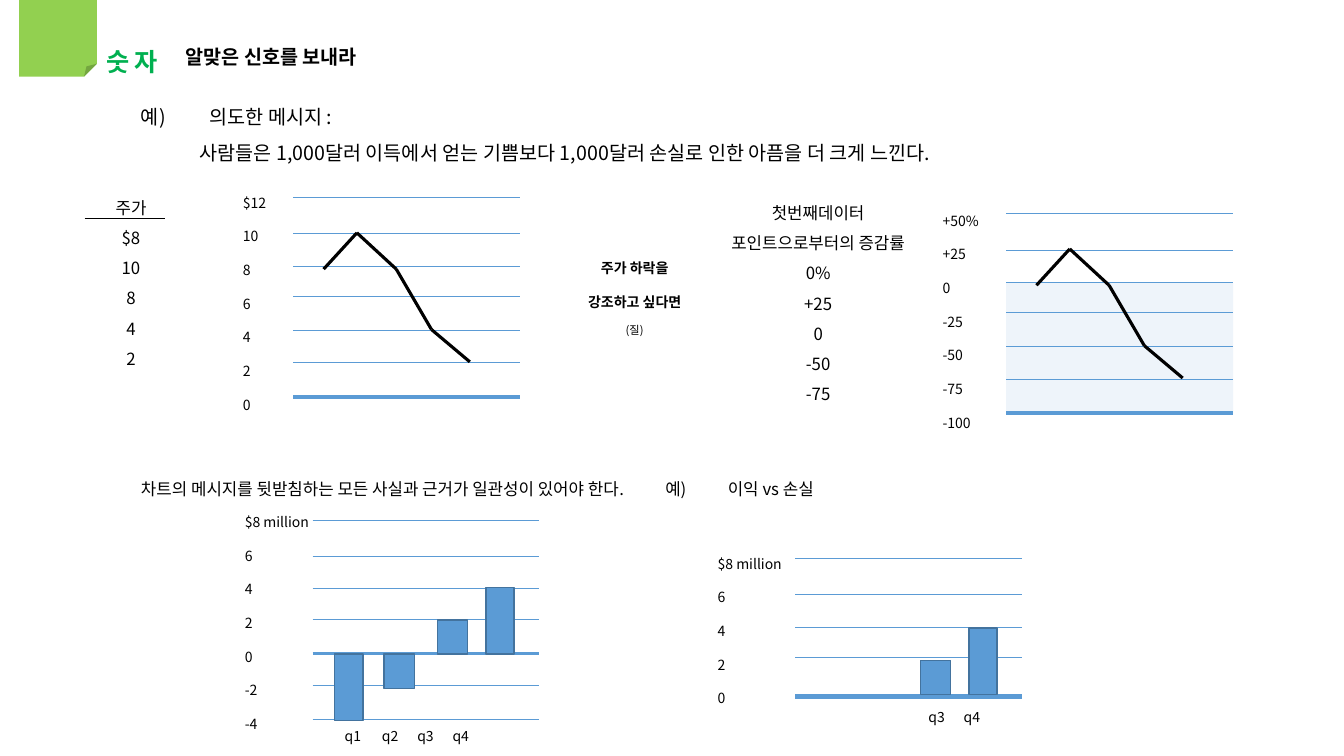
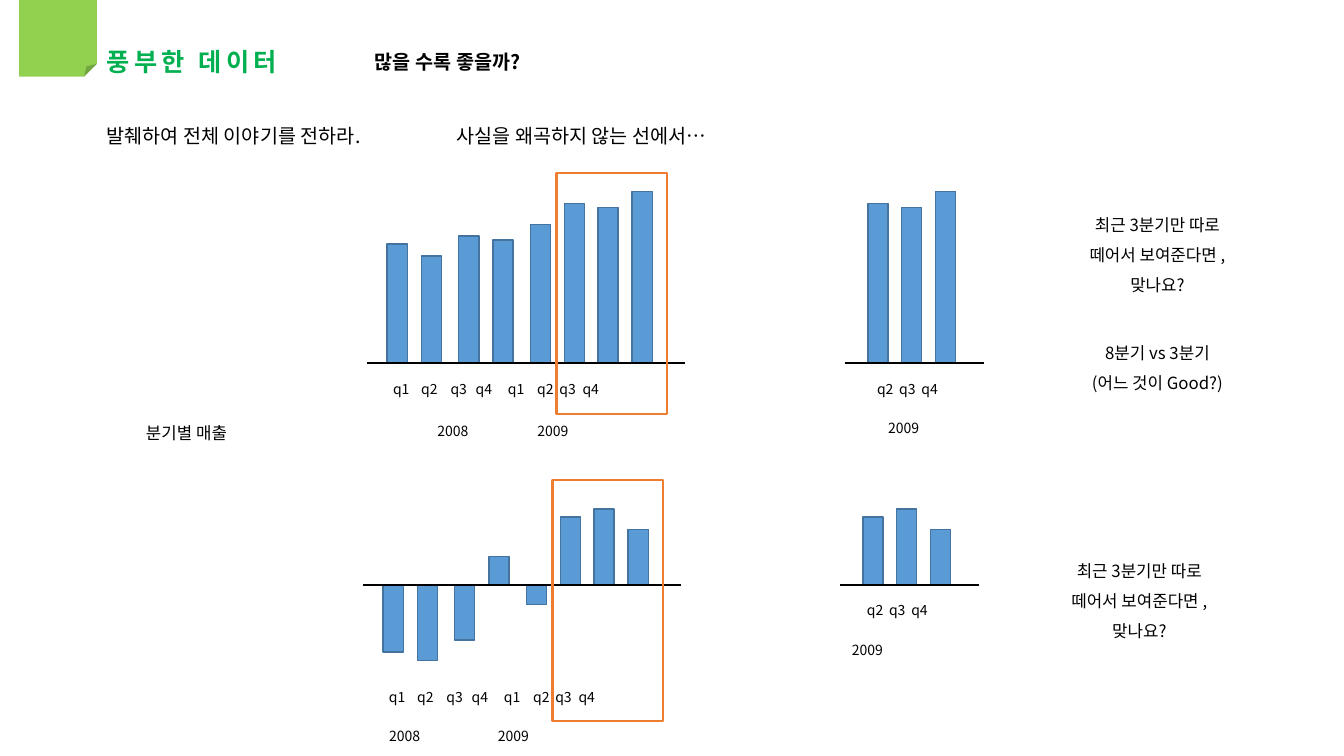
from itertools import pairwise

from lxml import etree
from pptx import Presentation
from pptx.dml.color import RGBColor
from pptx.enum.shapes import MSO_CONNECTOR, MSO_SHAPE as SHAPE
from pptx.enum.text import PP_ALIGN as ALIGN
from pptx.oxml.ns import qn
from pptx.util import Inches, Pt

FONT = "Noto Sans CJK KR"
COLORS = {
    "text": "000000",
    "title": "00B050",
    "fold": "92D050",
    "blue": "5B9BD5",
    "bar_edge": "43739E",
    "shade": "DEEBF7",
    "frame": "ED7D31",
}
GRID = [0, 0.36, 0.68, 0.98, 1.32, 1.64, 1.98]
TREND = [(0.3, 0.71), (0.63, 0.35), (1.02, 0.71), (1.37, 1.31), (1.75, 1.63)]
GRID_W = 2.25
SHADE_TOP, SHADE_H = 0.69, 1.29
BAR_W = 0.2


def add_text(s, x, y, w, h, lines, size, spacing=1.0, align=ALIGN.LEFT,
             bold=False, color="text", tabs=(), tracking=0):
    """Add a text box; tabs are stops in inches, tracking is in points."""
    sp = s.shapes.add_textbox(Inches(x), Inches(y), Inches(w), Inches(h))
    tf = sp.text_frame
    tf.word_wrap = True
    tf.text = "\n".join(lines)
    for p in tf.paragraphs:
        p.alignment = align
        p.line_spacing = spacing
        if tabs:
            stops = etree.SubElement(p._p.get_or_add_pPr(), qn("a:tabLst"))
            for stop in tabs:
                etree.SubElement(stops, qn("a:tab"), pos=str(Inches(stop)), algn="l")
        for r in p.runs:
            r.font.name = FONT
            r.font.size = Pt(size)
            r.font.bold = bold
            r.font.color.rgb = RGBColor.from_string(COLORS[color])
            rPr = r._r.get_or_add_rPr()
            etree.SubElement(rPr, qn("a:ea"), typeface=FONT)
            if tracking:
                rPr.set("spc", str(tracking * 100))
    return sp


def draw(s, kind, x, y, w, h, fill=None, line=None, weight=1):
    """Draw a preset shape, or a straight line across the box if kind is None."""
    if kind is None:
        sp = s.shapes.add_connector(MSO_CONNECTOR.STRAIGHT, Inches(x), Inches(y),
                                    Inches(x + w), Inches(y + h))
        etree.SubElement(sp._element.spPr, qn("a:effectLst"))
    else:
        sp = s.shapes.add_shape(kind, Inches(x), Inches(y), Inches(w), Inches(h))
        sp.shadow.inherit = False
        if fill:
            sp.fill.solid()
            sp.fill.fore_color.rgb = RGBColor.from_string(COLORS[fill])
        else:
            sp.fill.background()
    if line:
        sp.line.color.rgb = RGBColor.from_string(COLORS[line])
        sp.line.width = Pt(weight)
    else:
        sp.line.fill.background()
    return sp


prs = Presentation()
prs.slide_width, prs.slide_height = Inches(13.33), Inches(7.5)

# Shared header
slides = []
for title, title_w in [("숫자", 0.9), ("풍부한 데이터", 2.1)]:
    s = prs.slides.add_slide(prs.slide_layouts[6])
    draw(s, SHAPE.FOLDED_CORNER, 0.19, 0, 0.77, 0.76, fill="fold")
    add_text(s, 0.96, 0.26, title_w, 0.5, [title], 18, 1.5,
             bold=True, color="title", tracking=3)
    slides.append(s)
numbers, rich_data = slides

# Slide 1: headings and data columns
s = numbers
add_text(s, 1.74, 0.4, 2.11, 0.34, ["알맞은 신호를 보내라"], 14, bold=True)
add_text(s, 1.3, 0.87, 4, 0.45, ["예)\t의도한 메시지 :"], 14, 1.5, tabs=[0.68])
add_text(s, 1.88, 1.23, 8.3, 0.45,
         ["사람들은 1,000달러 이득에서 얻는 기쁨보다 1,000달러 손실로 인한 아픔을 더 크게 느낀다."],
         14, 1.5)
add_text(s, 1.03, 1.81, 0.54, 1.92, ["주가", "$8", "10", "8", "4", "2"],
         12, 1.5, ALIGN.CENTER)
draw(s, None, 0.84, 2.17, 0.8, 0, line="text")
add_text(s, 7.06, 1.86, 2.11, 2.22,
         ["첫번째데이터", "포인트으로부터의 증감률", "0%", "+25", "0", "-50", "-75"],
         12, 1.5, ALIGN.CENTER)
sp = add_text(s, 5.68, 2.36, 1.23, 1.04, ["주가 하락을", "강조하고 싶다면", "(질)"],
              10, 2.0, ALIGN.CENTER, bold=True)
note = sp.text_frame.paragraphs[-1].runs[0].font
note.size, note.bold = Pt(8), False
add_text(s, 1.3, 4.7, 7.78, 0.3,
         ["차트의 메시지를 뒷받침하는 모든 사실과 근거가 일관성이 있어야 한다.\t예)\t이익 vs 손실"],
         12, tabs=[5.2, 5.82])

# Slide 1: line charts
sp = draw(s, SHAPE.RECTANGLE, 9.98, 2.12 + SHADE_TOP, GRID_W, SHADE_H, fill="shade")
shade_color = sp._element.spPr.find(qn("a:solidFill"))[0]
etree.SubElement(shade_color, qn("a:alpha"), val="50000")

# Grid left, grid top, grid offsets, heavier lines, label position, labels
axes = [
    (2.91, 1.96, GRID, {6: 3}, (2.31, 1.71), ["$12", "10", "8", "6", "4", "2", "0"]),
    (9.98, 2.12, GRID, {6: 3}, (9.25, 1.89),
     ["+50%", "+25", "0", "-25", "-50", "-75", "-100"]),
    (3.1, 5.16, GRID, {4: 2.25, 6: 0.75}, (2.33, 4.88),
     ["$8 million", "6", "4", "2", "0", "-2", "-4"]),
    (7.89, 5.54, GRID[:4] + [1.37], {4: 3}, (7.02, 5.29),
     ["$8 million", "6", "4", "2", "0"]),
]
for left, top, offsets, heavy, (label_x, label_y), labels in axes:
    for i, offset in enumerate(offsets):
        draw(s, None, left, top + offset, GRID_W, 0, line="blue",
             weight=heavy.get(i, 0.5))
    add_text(s, label_x, label_y, 0.9, 0.35 * len(labels), labels, 10, 2.0)

for left, top, *_ in axes[:2]:
    for (x1, y1), (x2, y2) in pairwise(TREND):
        draw(s, None, left + x1, top + y1, x2 - x1, y2 - y1, line="text", weight=2.25)

# Slide 1: profit and loss bars, as offset, width and value
profit_bars = [(0.22, 0.28, -0.66), (0.71, 0.3, -0.34), (1.24, 0.3, 0.34), (1.72, 0.28, 0.66)]
for left, zero, bars in [(3.1, 6.49, profit_bars), (7.89, 6.89, profit_bars[2:])]:
    for offset, w, value in bars:
        draw(s, SHAPE.RECTANGLE, left + offset, zero - max(value, 0), w, abs(value),
             fill="blue", line="bar_edge")
add_text(s, 3.32, 7.17, 1.78, 0.27, ["q1\tq2\tq3\tq4"], 10, tabs=[0.37, 0.72, 1.07])
add_text(s, 9.11, 6.98, 0.9, 0.27, ["q3\tq4"], 10, tabs=[0.35])

# Slide 2: headings and comments
s = rich_data
add_text(s, 3.62, 0.33, 1.9, 0.45, ["많을 수록 좋을까?"], 14, 1.5, bold=True)
add_text(s, 0.96, 1.18, 6.95, 0.34,
         ["발췌하여 전체 이야기를 전하라.\t사실을 왜곡하지 않는 선에서…"], 14, tabs=[3.47])
add_text(s, 1.35, 4.14, 1.1, 0.3, ["분기별 매출"], 12)
recent = ["최근 3분기만 따로", "떼어서 보여준다면 ,", "맞나요?"]
for x, y, lines in [(10.63, 1.98, recent), (10.45, 5.41, recent),
                    (10.63, 3.25, ["8분기 vs 3분기", "(어느 것이 Good?)"])]:
    add_text(s, x, y, 1.7, 0.1 + 0.3 * len(lines), lines, 12, 1.5, ALIGN.CENTER)

# Slide 2: eight quarters beside the last three
bar_offsets = [0.2, 0.54, 0.91, 1.25, 1.62, 1.96, 2.29, 2.63]
quarter_tabs = [0.28, 0.57, 0.82, 1.14, 1.43, 1.65, 1.88]
upper = [1.18, 1.06, 1.26, 1.22, 1.37, 1.58, 1.54, 1.7]
lower = [-0.67, -0.75, -0.55, 0.28, -0.2, 0.67, 0.75, 0.55]
recent_offsets = [offset - 1.73 for offset in bar_offsets[-3:]]
# Axis left, axis length, axis y, bar offsets, values
bar_charts = [
    (3.64, 3.15, 3.6, bar_offsets, upper),
    (8.38, 1.38, 3.6, recent_offsets, upper[-3:]),
    (3.6, 3.15, 5.8, bar_offsets, lower),
    (8.33, 1.38, 5.8, recent_offsets, lower[-3:]),
]
for left, length, zero, offsets, values in bar_charts:
    for offset, value in zip(offsets, values):
        draw(s, SHAPE.RECTANGLE, left + offset, zero - max(value, 0), BAR_W, abs(value),
             fill="blue", line="bar_edge")
    draw(s, None, left, zero, length, 0, line="text", weight=1.5)

for left, frame_y, quarter_y in [(3.64, 1.72, 3.73), (3.6, 4.76, 6.78)]:
    add_text(s, left + 0.16, quarter_y, 2.67, 0.27,
             ["q1\tq2\tq3\tq4\tq1\tq2\tq3\tq4"], 10, tabs=quarter_tabs)
    draw(s, SHAPE.RECTANGLE, left + 1.88, frame_y, 1.1, 2.39, line="frame", weight=1.5)
for x, y in [(8.6, 3.73), (8.5, 5.92)]:
    add_text(s, x, y, 0.95, 0.27, ["q2\tq3\tq4"], 10, tabs=[0.22, 0.44])
for x, y, gap in [(4.24, 4.14, 0.99), (3.76, 7.17, 1.08)]:
    add_text(s, x, y, 2.05, 0.27, ["2008\t2009"], 10, tabs=[gap])
for x, y in [(8.71, 4.11), (8.35, 6.32)]:
    add_text(s, x, y, 0.6, 0.27, ["2009"], 10)

prs.save("out.pptx")
